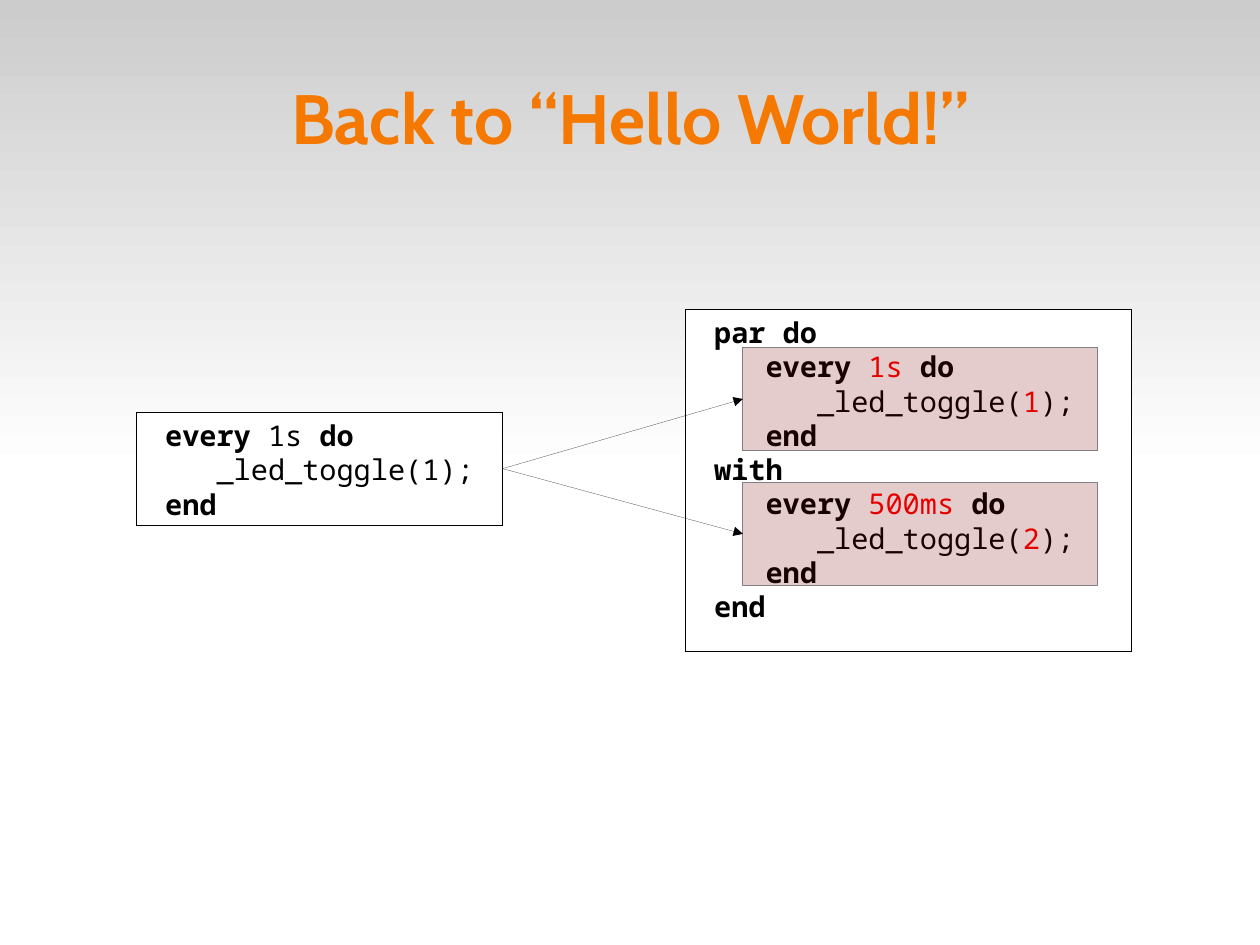
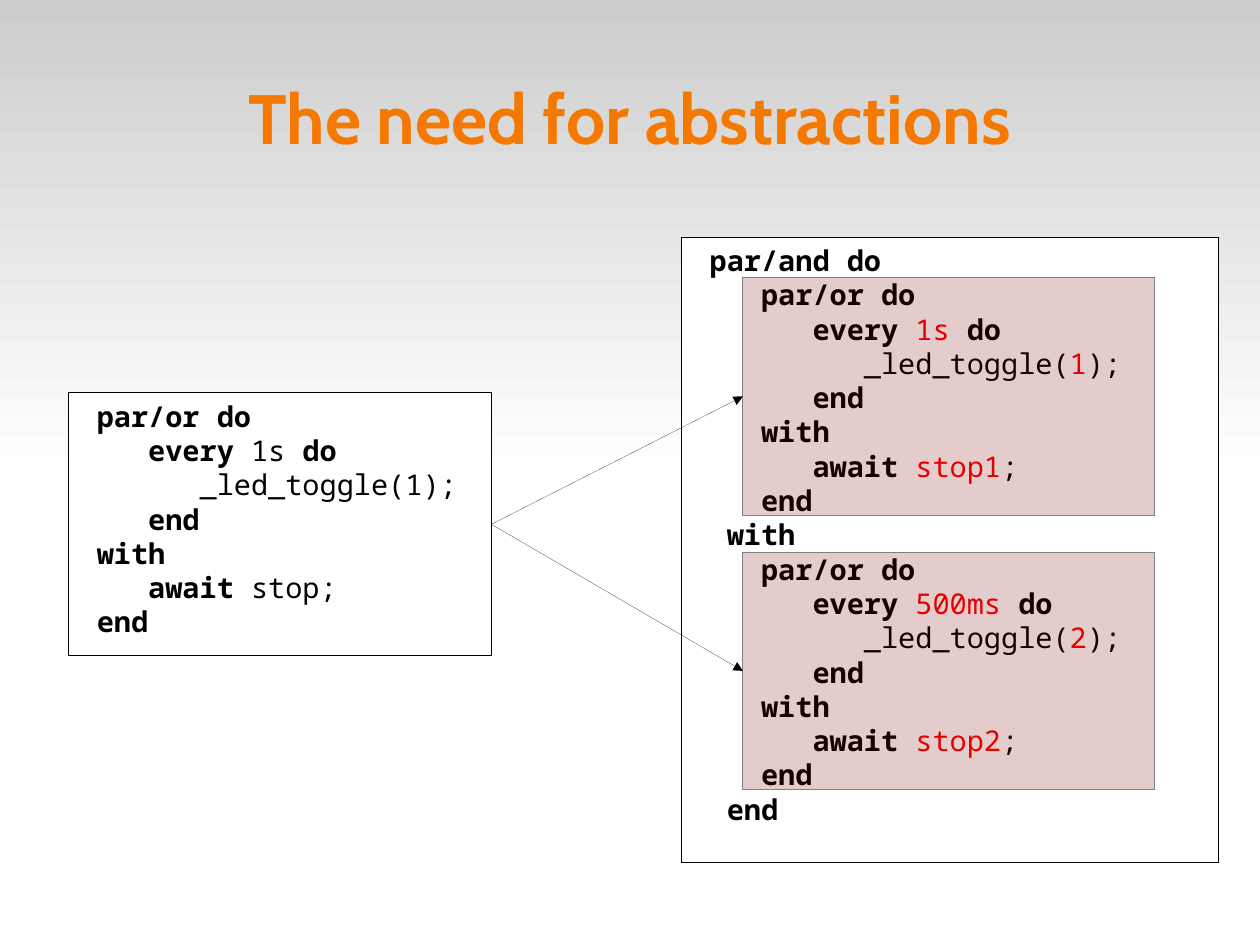
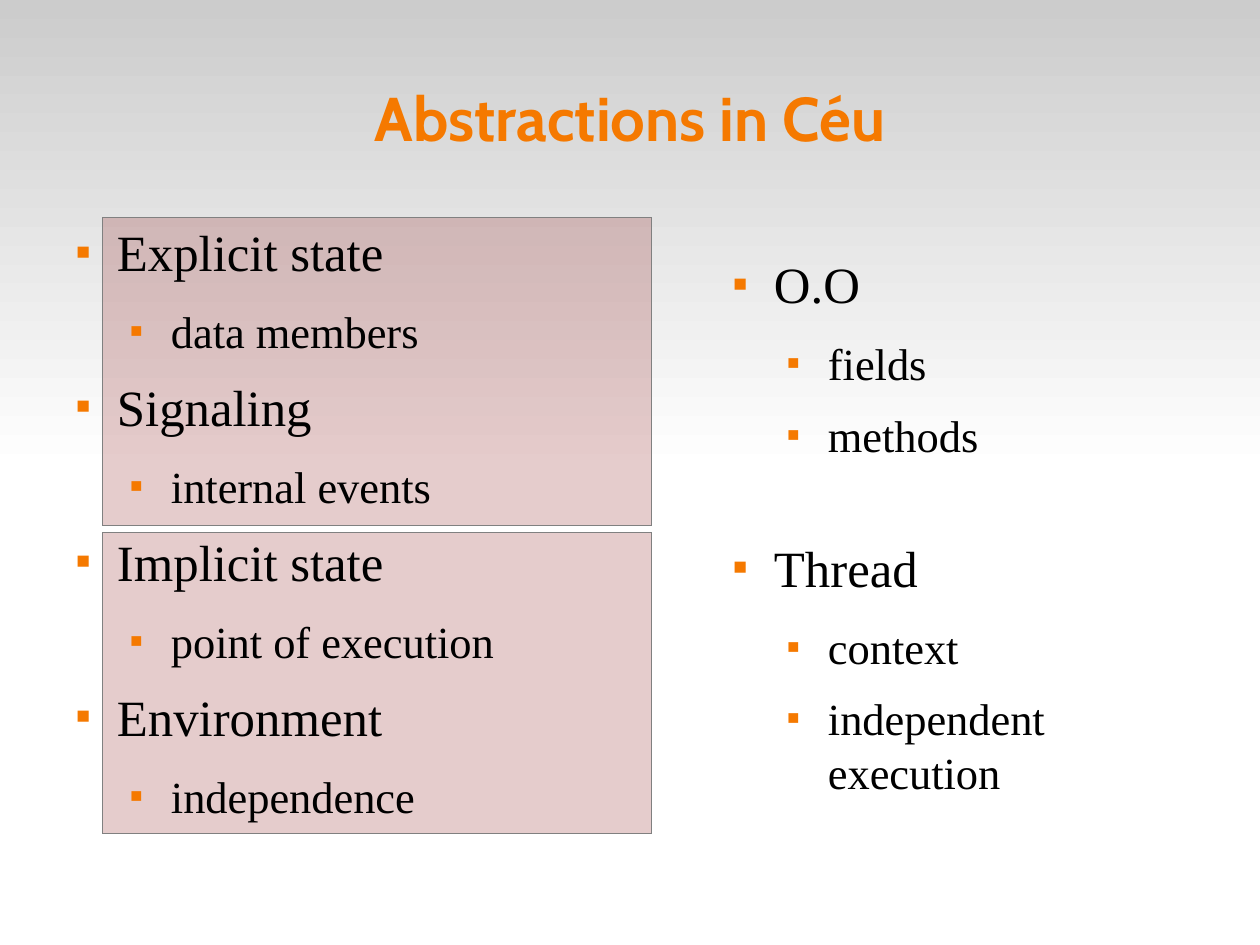
from dataclasses import dataclass
from itertools import groupby

from pptx import Presentation
from pptx.dml.color import RGBColor
from pptx.enum.shapes import MSO_CONNECTOR, MSO_SHAPE
from pptx.enum.text import MSO_ANCHOR, PP_ALIGN
from pptx.oxml.ns import qn
from pptx.util import Cm, Pt
from lxml import etree

RECT = MSO_SHAPE.RECTANGLE
STRAIGHT = MSO_CONNECTOR.STRAIGHT
TOP, MIDDLE = MSO_ANCHOR.TOP, MSO_ANCHOR.MIDDLE
LEFT, CENTER = PP_ALIGN.LEFT, PP_ALIGN.CENTER
WEST, EAST = 1, 3  # connection sites of a rectangle
TITLE_ONLY = 5


@dataclass(frozen=True)
class Theme:
    orange: str = "F57900"
    black: str = "000000"
    white: str = "FFFFFF"
    silver: str = "CCCCCC"
    gray: str = "808080"
    red: str = "FF0000"
    maroon: str = "800000"
    head: str = "Cabin"
    mono: str = "Noto Sans Mono"
    serif: str = "Times New Roman"
    title: float = 44
    code: float = 18
    items: tuple = (32, 28)
    after: tuple = (14.2, 11.3)


T = Theme()
WIDE, HIGH = 28, 21
KEYS = {"par", "par/or", "par/and", "every", "await", "do", "with", "end"}


# Shared helpers
def rgb(code):
    return RGBColor.from_string(code)


def write(para, text, font=T.serif, size=18, color=T.black, bold=False):
    run = para.add_run()
    run.text = text
    face = run.font
    face.name, face.size, face.bold = font, Pt(size), bold
    face.color.rgb = rgb(color)


def setup(frame, anchor=TOP, inset=(0, 0)):
    frame.word_wrap = True
    frame.vertical_anchor = anchor
    frame.margin_left = frame.margin_right = Cm(inset[0])
    frame.margin_top = frame.margin_bottom = Cm(inset[1])


def paras(frame, count):
    return [frame.paragraphs[0]] + [frame.add_paragraph() for _ in range(count - 1)]


def child(node, tag, **attrs):
    return etree.SubElement(node, qn(tag), attrs)


def hair(shape, color):
    """Give a hairline; a width of 0 must be written out."""
    shape.line.color.rgb = rgb(color)
    line = shape.element.spPr.find(qn("a:ln"))
    line.set("w", "0")
    return line


def rect(slide, box, fill, line, alpha=None):
    shape = slide.shapes.add_shape(RECT, *map(Cm, box))
    shape.shadow.inherit = False
    shape.fill.solid()
    shape.fill.fore_color.rgb = rgb(fill)
    hair(shape, line)
    if alpha:
        tint = shape.element.spPr.find(qn("a:solidFill"))[0]
        child(tint, "a:alpha", val=str(alpha * 1000))
    return shape


def mark(slide, box):
    return rect(slide, box, T.maroon, T.gray, alpha=20)


def arrow(slide, start, end):
    link = slide.shapes.add_connector(STRAIGHT, 0, 0, 0, 0)
    link.begin_connect(start, EAST)
    link.end_connect(end, WEST)
    child(hair(link, T.black), "a:tailEnd", type="triangle")
    child(link.element.spPr, "a:effectLst")


# Gradient band, kept on the master
def band(prs, slide):
    shape = slide.shapes.add_shape(RECT, 0, 0, Cm(WIDE), Cm(HIGH / 2))
    shape.shadow.inherit = False
    shape.line.fill.background()
    shape.fill.gradient()
    shape.fill.gradient_angle = 270
    for stop, color in zip(shape.fill.gradient_stops, (T.silver, T.white)):
        stop.color.rgb = rgb(color)
    shape.element.nvSpPr.cNvPr.set("id", "20")
    prs.slide_master.shapes.element.insert(2, shape.element)


def start(prs, text, size=T.title):
    slide = prs.slides.add_slide(prs.slide_layouts[TITLE_ONLY])
    title = slide.shapes.title
    title.left, title.top, title.width, title.height = map(Cm, (1.4, 0.84, 25.2, 3.5))
    setup(title.text_frame, MIDDLE)
    para = title.text_frame.paragraphs[0]
    para.alignment = CENTER
    write(para, text, font=T.head, size=size, color=T.orange, bold=True)
    return slide


# Code listings: backticks enclose red values
def nest(lines):
    return ["   " + line for line in lines]


def blink(time, led):
    return [f"every {time} do", f"   _led_toggle({led});", "end"]


def until(time, led, stop):
    return ["par/or do", *nest(blink(time, led)), "with", f"   await {stop};", "end"]


def pair(head, first, second, pad=""):
    return [head, *nest(first), pad + "with", *nest(second), pad + "end"]


def pieces(line):
    """Yield words with their format; spaces go with the word they precede."""
    for i, chunk in enumerate(line.split("`")):
        color, gap = T.red if i % 2 else T.black, ""
        for word in chunk.split(" "):
            if word:
                yield gap + word, (color, word in KEYS)
                gap = ""
            gap += " "
        if chunk.endswith(" "):
            yield " ", (color, True)


def listing(slide, box, lines):
    shape = rect(slide, box, T.white, T.black)
    frame = shape.text_frame
    setup(frame, inset=(0.25, 0.13))
    for para, line in zip(paras(frame, len(lines)), lines):
        para.alignment = LEFT
        for (color, bold), group in groupby(pieces(" " + line), lambda part: part[1]):
            text = "".join(part[0] for part in group)
            write(para, text, font=T.mono, size=T.code, color=color, bold=bold)
    return shape


def compare(slide, small, large, inner, step):
    """Place two listings, and marks set by inner, relative to the large box."""
    source = listing(slide, *small)
    listing(slide, *large)
    (x, y, _, _), (dx, dy, w, h) = large[0], inner
    for i in range(2):
        arrow(slide, source, mark(slide, (x + dx, y + dy + i * step, w, h)))


# Bulleted lists
def bullets(slide, box, items):
    frame = slide.shapes.add_textbox(*map(Cm, box)).text_frame
    setup(frame)
    for para, (level, text) in zip(paras(frame, len(items)), items):
        para.level = level
        para.space_after = Pt(T.after[level])
        props = para._p.get_or_add_pPr()
        props.set("marL", str(Cm(1.2 * (level + 1))))
        props.set("indent", str(Cm(-0.9)))
        child(child(props, "a:buClr"), "a:srgbClr", val=T.orange)
        child(props, "a:buSzPct", val="45000")
        child(props, "a:buFont", typeface=T.serif)
        child(props, "a:buChar", char="■")
        write(para, text, size=T.items[level])


def main():
    prs = Presentation()
    prs.slide_width, prs.slide_height = Cm(WIDE), Cm(HIGH)

    # Two blinking LEDs
    slide = start(prs, "Back to “Hello World!”")
    band(prs, slide)
    both = pair("par do", blink("`1s`", "`1`"), blink("`500ms`", "`2`"))
    compare(slide,
            ((3.04, 9.16, 8.13, 2.51), blink("1s", 1)),
            ((15.24, 6.87, 9.9, 7.6), both),
            inner=(1.27, 0.85, 7.88, 2.29), step=3)

    # Two blinking LEDs that can stop
    slide = start(prs, "The need for abstractions")
    both = pair("par/and do", until("`1s`", "`1`", "`stop1`"),
                until("`500ms`", "`2`", "`stop2`"), pad=" ")
    compare(slide,
            ((1.52, 8.73, 9.4, 5.84), until("1s", 1, "stop")),
            ((15.14, 5.27, 11.94, 13.89), both),
            inner=(1.37, 0.9, 9.14, 5.28), step=6.1)

    # Abstractions
    slide = start(prs, "Abstractions in Céu", size=38.9)
    for top, high in ((4.83, 6.85), (11.83, 6.7)):
        mark(slide, (2.28, top, 12.2, high))
    bullets(slide, (1.4, 4.91, 25.2, 13.61), [
        (0, "Explicit state"), (1, "data members"),
        (0, "Signaling"), (1, "internal events"),
        (0, "Implicit state"), (1, "point of execution"),
        (0, "Environment"), (1, "independence")])
    bullets(slide, (16, 5.62, 9.65, 4.98), [
        (0, "O.O"), (1, "fields"), (1, "methods")])
    bullets(slide, (16, 11.92, 10.92, 5.84), [
        (0, "Thread"), (1, "context"), (1, "independent execution")])

    prs.save("out.pptx")


if __name__ == "__main__":
    main()
